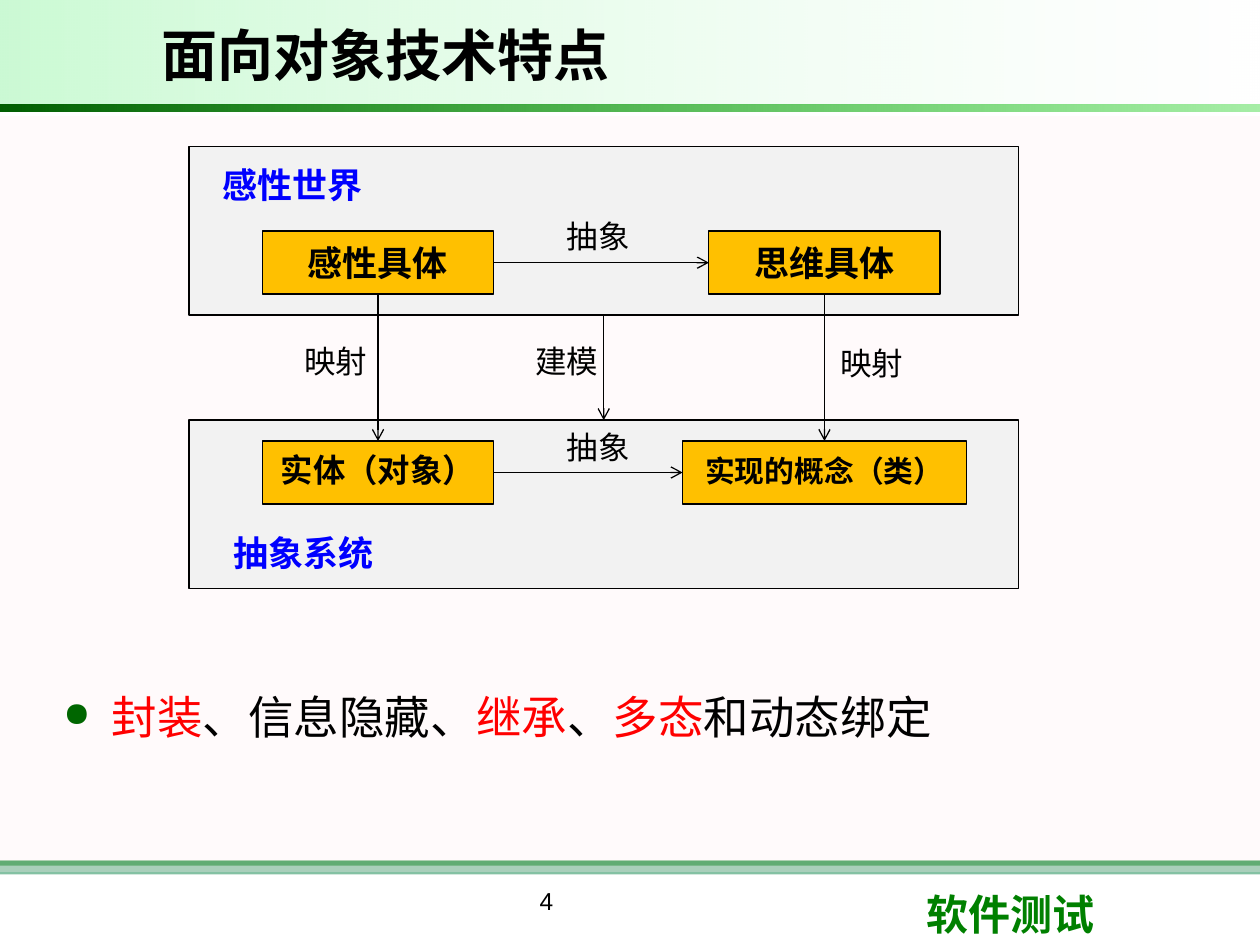
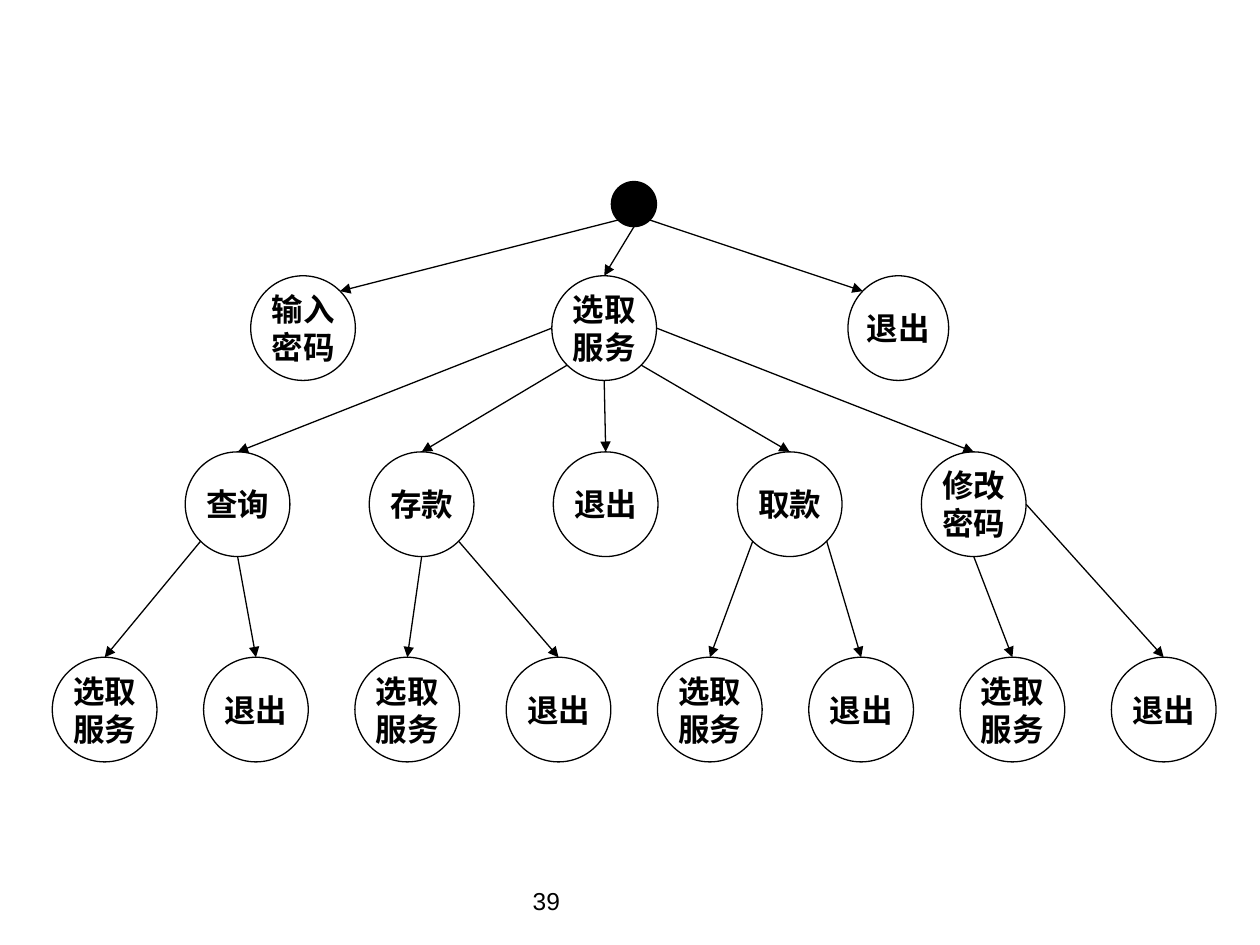
from math import cos, pi, sin

from lxml.etree import SubElement
from pptx import Presentation
from pptx.dml.color import RGBColor as Rgb
from pptx.enum.shapes import MSO_CONNECTOR as Wire, MSO_SHAPE as Form
from pptx.enum.text import MSO_ANCHOR as Anchor, PP_ALIGN as Align
from pptx.oxml.ns import qn
from pptx.util import Cm, Pt

BLACK = Rgb(0x00, 0x00, 0x00)
WHITE = Rgb(0xFF, 0xFF, 0xFF)
RED = Rgb(0xFF, 0x00, 0x00)
BLUE = Rgb(0x00, 0x00, 0xFF)
GREEN = Rgb(0x00, 0x80, 0x00)
SEA = Rgb(0x33, 0x99, 0x66)
MINT = Rgb(0x09, 0xE7, 0x33)
LIME = Rgb(0x00, 0xCC, 0x00)
DARK = Rgb(0x00, 0x5E, 0x00)
PINK = Rgb(0xFF, 0xF0, 0xF5)
GREY = Rgb(0xF2, 0xF2, 0xF2)
GOLD = Rgb(0xFF, 0xC0, 0x00)
HAN = "Noto Sans CJK SC"
TOP, LEFT, BOTTOM, RIGHT = range(4)


def write(frame, text, size=18, color=BLACK, bold=False, font="Arial",
          align=Align.LEFT, anchor=Anchor.TOP, gap=None):
    """Fill a frame with a string or a list of (string, colour) runs."""
    frame.word_wrap = True
    frame.vertical_anchor = anchor
    par = frame.paragraphs[0]
    par.alignment = align
    if gap:
        par.line_spacing = gap
    for part, tint in [(text, color)] if isinstance(text, str) else text:
        run = par.add_run()
        run.text = part
        run.font.size, run.font.bold, run.font.name = Pt(size), bold, font
        run.font.color.rgb = tint
        SubElement(run.font._element, qn("a:ea"), typeface=HAN)
    return par


class Deck:
    def __init__(self):
        self.show = Presentation()
        self.show.slide_width, self.show.slide_height = Cm(25.4), Cm(19.05)
        self.slide = None

    def page(self, number):
        self.slide = self.show.slides.add_slide(self.show.slide_layouts[6])
        self.label(6.99, 17.73, 8.05, 1.32, str(number), size=14, align=Align.CENTER)

    def label(self, x, y, w, h, text, **style):
        box = self.slide.shapes.add_textbox(Cm(x), Cm(y), Cm(w), Cm(h))
        return write(box.text_frame, text, **style)

    def shape(self, form, x, y, w, h, fill, edge=True):
        item = self.slide.shapes.add_shape(form, Cm(x), Cm(y), Cm(w), Cm(h))
        item.shadow.inherit = False
        item.fill.solid()
        item.fill.fore_color.rgb = fill
        if edge:
            item.line.color.rgb, item.line.width = BLACK, Pt(0.75)
        else:
            item.line.fill.background()
        return item

    def band(self, y, h, *stops):
        """Full-width band; each stop is a colour and its opacity in percent."""
        item = self.shape(Form.RECTANGLE, 0, y, 25.4, h, stops[0][0], edge=False)
        if len(stops) > 1:
            item.fill.gradient()
            item.fill.gradient_angle = 0
            for stop, (color, _) in zip(item.fill.gradient_stops, stops):
                stop.color.rgb = color
        tints = item.element.spPr.iter(qn("a:srgbClr"))
        for tint, (_, alpha) in zip(tints, stops):
            SubElement(tint, qn("a:alpha"), val=str(alpha * 1000))

    def frame(self, title):
        """Title bar, body tint and footer of a content slide."""
        self.band(17.35, 0.1, (GREEN, 100))
        self.band(17.35, 0.28, (SEA, 60))
        self.band(2.34, 15.24, (PINK, 30))
        self.band(0, 2.11, (MINT, 21), (WHITE, 10))
        self.band(2.11, 0.13, (DARK, 100), (LIME, 35))
        self.label(18.42, 17.78, 6.02, 1.27, "软件测试", size=24, color=GREEN,
                   bold=True, font="Calibri")
        self.label(3, 0.2, 17.7, 1.8, title, size=32, bold=True, anchor=Anchor.MIDDLE)

    def bullet(self, x, y, w, h, runs, **style):
        par = self.label(x, y, w, h, runs, **style)
        par.space_after = Pt(6)
        props = par._p.get_or_add_pPr()
        props.set("marL", str(Cm(1)))
        props.set("indent", str(Cm(-0.97)))
        SubElement(SubElement(props, qn("a:buClr")), qn("a:srgbClr"), val="006600")
        SubElement(props, qn("a:buSzPct"), val="75000")
        SubElement(props, qn("a:buChar"), char="●")

    def panel(self, y):
        return self.shape(Form.RECTANGLE, 3.81, y, 16.72, 3.39, GREY)

    def box(self, x, y, w, text, size=20, gap=None):
        item = self.shape(Form.RECTANGLE, x, y, w, 1.27, GOLD)
        write(item.text_frame, text, size=size, bold=True, font=HAN, gap=gap,
              align=Align.CENTER, anchor=Anchor.MIDDLE)
        return item

    def node(self, x, y, text="", w=2.11, h=2.11, fill=WHITE):
        """Circle centred on x with its top at y."""
        item = self.shape(Form.OVAL, x - w / 2, y, w, h, fill)
        if text:
            area = item.text_frame
            area.margin_left = area.margin_right = 0
            area.margin_top = area.margin_bottom = 0
            write(area, text, bold=True, align=Align.CENTER, anchor=Anchor.MIDDLE)
        return item

    def arrow(self, start, end, head):
        line = self.slide.shapes.add_connector(Wire.STRAIGHT, *start, *end)
        line.line.color.rgb, line.line.width = BLACK, Pt(0.75)
        SubElement(line.line._get_or_add_ln(), qn("a:tailEnd"), type=head)
        SubElement(line.element.spPr, qn("a:effectLst"))
        return line

    def join(self, first, side, last, goal):
        """Arrow glued to the sides of two rectangles."""
        line = self.arrow((0, 0), (0, 0), "arrow")
        line.begin_connect(first, side)
        line.end_connect(last, goal)

    def edge(self, first, turn, last, goal=0):
        """Arrow between circles; turns are eighths, anticlockwise from the top."""
        self.arrow(rim(first, turn), rim(last, goal), "triangle")


def rim(node, turn):
    angle = turn * pi / 4
    return (round(node.left + node.width * (1 - sin(angle)) / 2),
            round(node.top + node.height * (1 - cos(angle)) / 2))


def traits(deck):
    deck.page(4)
    deck.frame("面向对象技术特点")
    deck.bullet(1, 13.77, 23.77, 2.54, [
        ("封装", RED), ("、信息隐藏、", BLACK), ("继承", RED), ("、", BLACK),
        ("多态", RED), ("和动态绑定", BLACK)], size=26, font=HAN)

    # Two worlds and their four concepts
    world, system = deck.panel(2.96), deck.panel(8.47)
    sense = deck.box(5.29, 4.66, 4.66, "感性具体")
    mind = deck.box(14.29, 4.66, 4.66, "思维具体")
    entity = deck.box(5.29, 8.89, 4.66, "实体（对象）", size=18.5, gap=0.9)
    kind = deck.box(13.76, 8.89, 5.72, "实现的概念（类）", size=17, gap=0.9)
    for x, y, text in [(4.24, 3.18, "感性世界"), (4.45, 10.58, "抽象系统")]:
        deck.label(x, y, 5.08, 1.11, text, size=20, color=BLUE, bold=True)

    # Relations
    deck.join(sense, RIGHT, mind, LEFT)
    deck.join(entity, RIGHT, kind, LEFT)
    for upper, lower in [(sense, entity), (world, system), (mind, kind)]:
        deck.join(upper, BOTTOM, lower, TOP)
    for x, y, text in [(10.58, 4.26, "抽象"), (10.58, 8.5, "抽象"), (5.29, 6.77, "映射"),
                       (9.95, 6.77, "建模"), (16.09, 6.81, "映射")]:
        deck.label(x, y, 2.96, 1.02, text, align=Align.CENTER)


def tree(deck):
    deck.page(39)

    # Nodes, level by level
    root = deck.node(12.78, 3.66, w=0.91, h=0.91, fill=BLACK)
    code = deck.node(6.11, 5.56, "输入密码")
    serve = deck.node(12.18, 5.56, "选取服务")
    leave = deck.node(18.11, 5.56, "退出", w=2.03)
    tasks = [deck.node(4.79 + 3.71 * i, 9.11, text) for i, text in
             enumerate(["查询", "存款", "退出", "取款", "修改密码"])]
    leaves = [deck.node(2.11 + 3.05 * i, 13.25, text) for i, text in
              enumerate(["选取服务", "退出"] * 4)]

    # Edges
    deck.edge(root, 3, code, 7)
    deck.edge(root, 4, serve)
    deck.edge(root, 5, leave, 1)
    for turn, task in enumerate(tasks, 2):
        deck.edge(serve, turn, task)
    parents = [(0, 3), (0, 4), (1, 4), (1, 5), (3, 3), (3, 5), (4, 4), (4, 6)]
    for leaf, (task, turn) in zip(leaves, parents):
        deck.edge(tasks[task], turn, leaf)


def main():
    deck = Deck()
    traits(deck)
    tree(deck)
    deck.show.save("out.pptx")


if __name__ == "__main__":
    main()
